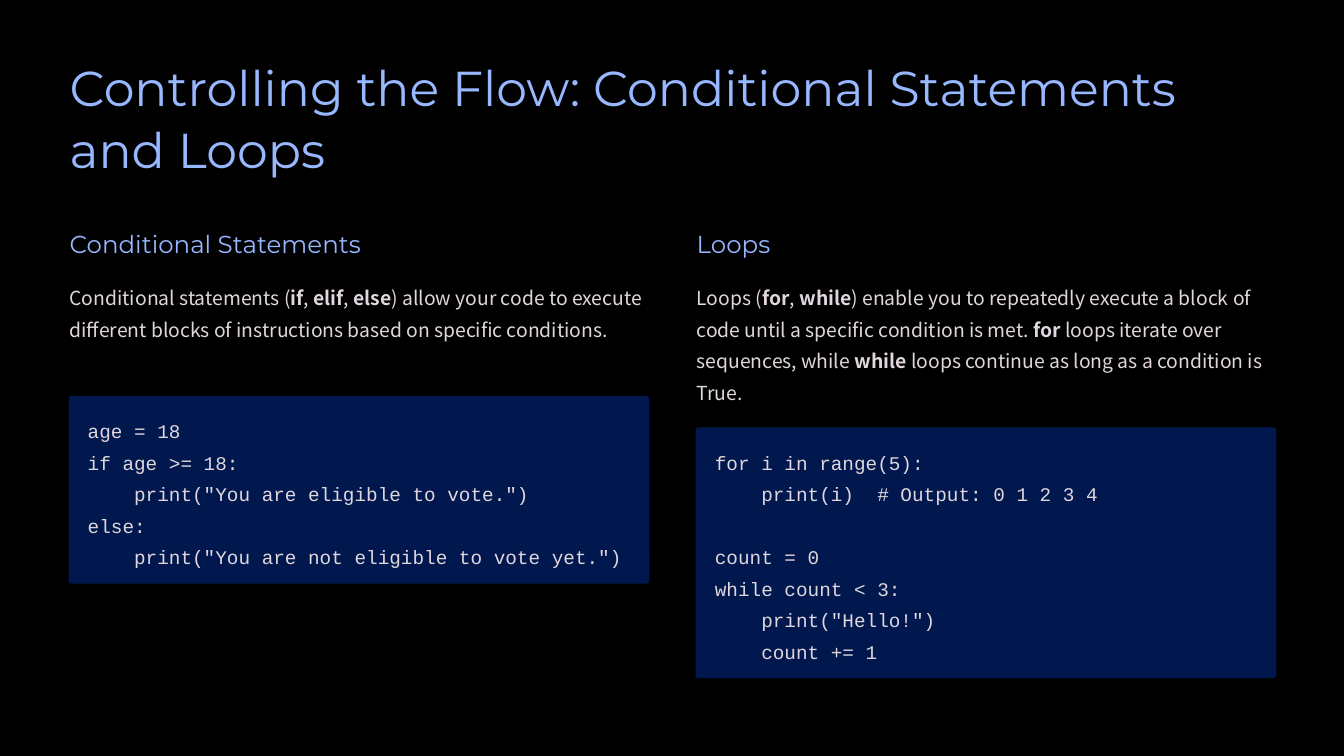
from dataclasses import dataclass

from pptx import Presentation
from pptx.dml.color import RGBColor
from pptx.enum.shapes import MSO_SHAPE as Shape
from pptx.enum.text import MSO_ANCHOR as Anchor, MSO_AUTO_SIZE as AutoSize, PP_ALIGN as Align
from pptx.oxml.ns import qn
from pptx.util import Inches, Pt

TITLE = "Controlling the Flow: Conditional Statements and Loops"

TOPICS = [
    {
        "heading": "Conditional Statements",
        "description": [
            ("Conditional statements (", False), ("if", True), (", ", False),
            ("elif", True), (", ", False), ("else", True),
            (") allow your code to execute different blocks of instructions "
             "based on specific conditions.", False),
        ],
        "description_lines": 3,
        "code": [
            "age = 18",
            "if age >= 18:",
            '    print("You are eligible to vote.")',
            "else:",
            '    print("You are not eligible to vote yet.")',
        ],
    },
    {
        "heading": "Loops",
        "description": [
            ("Loops (", False), ("for", True), (", ", False), ("while", True),
            (") enable you to repeatedly execute a block of code until "
             "a specific condition is met. ", False),
            ("for", True), (" loops iterate over sequences, while ", False),
            ("while", True),
            (" loops continue as long as a condition is True.", False),
        ],
        "description_lines": 4,
        "code": [
            "for i in range(5):",
            "    print(i)  # Output: 0 1 2 3 4",
            "",
            "count = 0",
            "while count < 3:",
            '    print("Hello!")',
            "    count += 1",
        ],
    },
]


@dataclass(frozen=True)
class TextStyle:
    font: str
    size: float
    leading: float
    color: RGBColor


class Theme:
    background = RGBColor.from_string("000000")
    panel = RGBColor.from_string("00184D")
    accent = RGBColor.from_string("97B8FF")
    text = RGBColor.from_string("E0D6DE")
    title = TextStyle("Montserrat", 35, 44.2, accent)
    heading = TextStyle("Montserrat", 17.5, 22.1, accent)
    body = TextStyle("Noto Sans CJK TC", 13.8, 22.5, text)
    code = TextStyle("Courier New", 13.8, 22.5, text)


MARGIN = 0.69
COLUMN_WIDTH = 5.74
COLUMN_STEP = 6.22
HEADING_TOP = 2.26
DESCRIPTION_TOP = 2.76
PANEL_GAP = 0.23
PANEL_BLEED = 0.01
PANEL_RADIUS = 0.03
CODE_INSET_X = 0.18
CODE_INSET_Y = 0.15
LINE_HEIGHT = Theme.body.leading / 72


def place(box, left, top, width, height):
    box.left, box.top = Inches(left), Inches(top)
    box.width, box.height = Inches(width), Inches(height)


def write(box, lines, style, wrap=True):
    frame = box.text_frame
    frame.auto_size = AutoSize.NONE
    frame.word_wrap = wrap
    frame.vertical_anchor = Anchor.TOP
    frame.margin_left = frame.margin_top = frame.margin_right = frame.margin_bottom = 0
    for index, line in enumerate(lines):
        para = frame.add_paragraph() if index else frame.paragraphs[0]
        properties = para._p.get_or_add_pPr()
        properties.set("marL", "0")
        properties.set("indent", "0")
        properties.append(properties.makeelement(qn("a:buNone"), {}))
        para.alignment = Align.LEFT
        para.line_spacing = Pt(style.leading)
        para.space_before = para.space_after = Pt(0)
        for text, bold in line:
            span = para.add_run()
            span.text = text
            span.font.name = style.font
            span.font.size = Pt(style.size)
            span.font.bold = bold
            span.font.color.rgb = style.color


def add_code_panel(page, left, top, code):
    code_height = len(code) * LINE_HEIGHT
    height = code_height + 2 * CODE_INSET_Y
    panel = page.shapes.add_shape(
        Shape.ROUNDED_RECTANGLE, Inches(left - PANEL_BLEED), Inches(top),
        Inches(COLUMN_WIDTH + 2 * PANEL_BLEED), Inches(height))
    panel.adjustments[0] = PANEL_RADIUS / height
    panel.shadow.inherit = False
    panel.fill.solid()
    panel.fill.fore_color.rgb = Theme.panel
    panel.line.fill.background()
    box = page.shapes.add_textbox(
        Inches(left + CODE_INSET_X), Inches(top + CODE_INSET_Y),
        Inches(COLUMN_WIDTH - 2 * CODE_INSET_X), Inches(code_height))
    write(box, [[(line, False)] if line else [] for line in code], Theme.code)


def main():
    deck = Presentation()
    deck.slide_width, deck.slide_height = Inches(13.33), Inches(7.5)
    comparison_layout = deck.slide_layouts[4]
    page = deck.slides.add_slide(comparison_layout)
    page.background.fill.solid()
    page.background.fill.fore_color.rgb = Theme.background

    title, *bodies = page.placeholders
    place(title, MARGIN, 0.54, COLUMN_STEP + COLUMN_WIDTH, 1.23)
    write(title, [[(TITLE, False)]], Theme.title)

    for column, topic in enumerate(TOPICS):
        left = MARGIN + column * COLUMN_STEP
        heading, description = bodies[2 * column:2 * column + 2]
        place(heading, left, HEADING_TOP, 3, 0.31)
        write(heading, [[(topic["heading"], False)]], Theme.heading, wrap=False)
        description_height = topic["description_lines"] * LINE_HEIGHT
        place(description, left, DESCRIPTION_TOP, COLUMN_WIDTH, description_height)
        write(description, [topic["description"]], Theme.body)
        panel_top = DESCRIPTION_TOP + description_height + PANEL_GAP
        add_code_panel(page, left, panel_top, topic["code"])

    deck.save("out.pptx")


if __name__ == "__main__":
    main()
